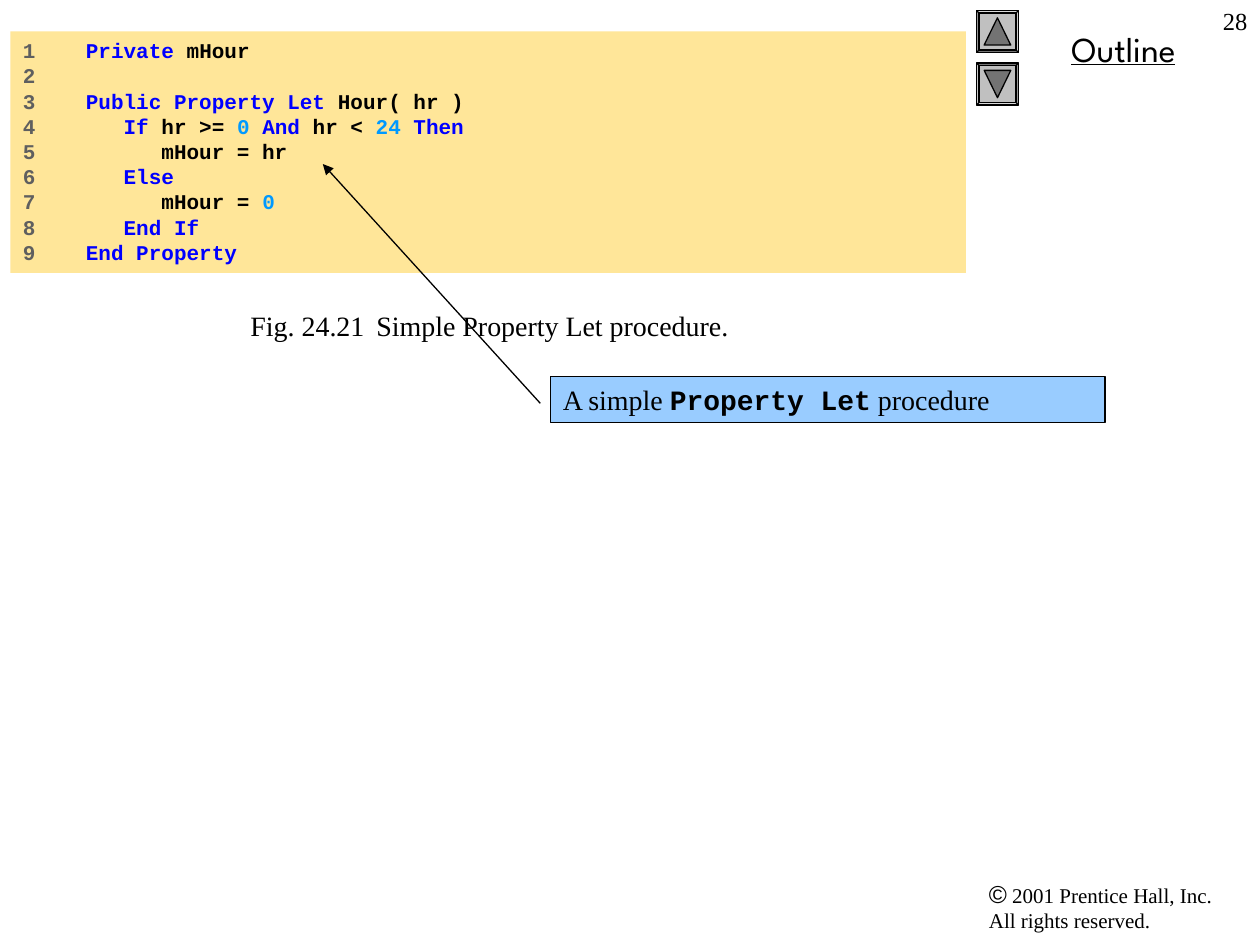
from dataclasses import dataclass

from lxml import etree
from pptx import Presentation
from pptx.dml.color import RGBColor
from pptx.enum import shapes, text
from pptx.oxml.ns import qn
from pptx.util import Pt

COLORS = {
    "black": "000000",
    "number": "5F5F5F",
    "keyword": "0000FF",
    "literal": "0099FF",
    "code_fill": "FFE699",
    "callout": "99CCFF",
    "button": "C0C0C0",
    "arrow": "737373",
}
SERIF, MONO = "Times New Roman", "Courier New"


@dataclass
class Box:
    left: float
    top: float
    width: float
    height: float

    def lengths(self):
        return Pt(self.left), Pt(self.top), Pt(self.width), Pt(self.height)


@dataclass
class Run:
    text: str
    font: str = SERIF
    size: float = 16
    color: str = "black"
    bold: bool = False
    underline: bool = False


@dataclass
class NavButton:
    top: float
    bevel_turn: int
    arrow_turn: int


NAV_BUTTONS = [NavButton(6, 90, 0), NavButton(36, 270, 180)]

CODE = [
    [("keyword", "Private"), ("black", " mHour")],
    [],
    [("keyword", "Public Property Let"), ("black", " Hour( hr )")],
    [("keyword", "   If"), ("black", " hr >= "), ("literal", "0 "), ("keyword", "And"),
     ("black", " hr < "), ("literal", "24 "), ("keyword", "Then")],
    [("black", "      mHour = hr")],
    [("keyword", "   Else")],
    [("black", "      mHour = "), ("literal", "0")],
    [("keyword", "   End If")],
    [("keyword", "End Property")],
]


def rgb(name: str) -> RGBColor:
    return RGBColor.from_string(COLORS[name])


def add_runs(p, runs: list[Run]) -> None:
    for run in runs:
        r = p.add_run()
        r.text = run.text
        r.font.name, r.font.size = run.font, Pt(run.size)
        r.font.bold, r.font.underline = run.bold, run.underline
        r.font.color.rgb = rgb(run.color)


def prepare_frame(sp, align=text.PP_ALIGN.LEFT, wrap: bool = True):
    """Set insets, anchor and alignment; return the first paragraph."""
    tf = sp.text_frame
    tf.auto_size = text.MSO_AUTO_SIZE.NONE
    tf.word_wrap = wrap
    tf.vertical_anchor = text.MSO_ANCHOR.TOP
    tf.margin_left = tf.margin_right = Pt(7.2)
    tf.margin_top = tf.margin_bottom = Pt(3.6)
    p = tf.paragraphs[0]
    p.alignment = align
    return p


def add_text(slide, box: Box, runs: list[Run], align=text.PP_ALIGN.LEFT, wrap: bool = True):
    p = prepare_frame(slide.shapes.add_textbox(*box.lengths()), align, wrap)
    add_runs(p, runs)
    return p


def add_filled(slide, kind, box: Box, fill: str, outlined: bool = True):
    sp = slide.shapes.add_shape(kind, *box.lengths())
    sp.shadow.inherit = False
    sp.fill.solid()
    sp.fill.fore_color.rgb = rgb(fill)
    if outlined:
        sp.line.color.rgb = rgb("black")
        sp.line.width = Pt(0.75)
    else:
        sp.line.fill.background()
    return sp


def add_title(slide) -> None:
    title = slide.shapes.title
    title.left, title.top, title.width, title.height = Box(564, 12, 156, 32).lengths()
    p = prepare_frame(title, text.PP_ALIGN.CENTER)
    add_runs(p, [Run("Outline", "League Spartan", 20, underline=True)])


def add_nav_button(slide, button: NavButton) -> None:
    kinds = shapes.MSO_SHAPE
    sp = add_filled(slide, kinds.BEVEL, Box(558, button.top, 24, 24), "button")
    sp.adjustments[0] = 0.06
    sp.rotation = button.bevel_turn
    arrow = add_filled(slide, kinds.ISOSCELES_TRIANGLE,
                       Box(562.4, button.top + 4.2, 15.2, 15.6), "arrow")
    arrow.rotation = button.arrow_turn


def add_code(slide) -> None:
    sp = add_filled(slide, shapes.MSO_SHAPE.RECTANGLE, Box(6, 18, 546, 138),
                    "code_fill", outlined=False)
    p = prepare_frame(sp)
    for number, tokens in enumerate(CODE, 1):
        if number > 1:
            p = sp.text_frame.add_paragraph()
            p.alignment = text.PP_ALIGN.LEFT
        p.line_spacing = Pt(14.4)
        label = f"{number}    " if tokens else str(number)
        add_runs(p, [Run(words, MONO, 12, color, bold=True)
                     for color, words in [("number", label), *tokens]])


def add_callout(slide) -> None:
    sp = add_filled(slide, shapes.MSO_SHAPE.RECTANGLE, Box(314.5, 215, 317, 26.5), "callout")
    add_runs(prepare_frame(sp), [Run("A simple "), Run("Property Let", MONO, bold=True),
                                 Run(" procedure")])
    line = slide.shapes.add_connector(shapes.MSO_CONNECTOR.STRAIGHT,
                                      Pt(308.75), Pt(230.5), Pt(184.5), Pt(93.75))
    line.line.color.rgb = rgb("black")
    line.line.width = Pt(0.75)
    etree.SubElement(line.line._get_or_add_ln(), qn("a:tailEnd"), type="triangle")
    etree.SubElement(line._element.spPr, qn("a:effectLst"))


def main() -> None:
    prs = Presentation()
    prs.slide_width, prs.slide_height = Pt(720), Pt(540)
    slide = prs.slides.add_slide(prs.slide_layouts[5])

    add_title(slide)
    p = add_text(slide, Box(558, 498.5, 156, 39),
                 [Run("©", "Arial", 14), Run(" 2001 Prentice Hall, Inc.", size=12)])
    p.add_line_break()
    add_runs(p, [Run("All rights reserved.", size=12)])
    for button in NAV_BUTTONS:
        add_nav_button(slide, button)
    add_code(slide)
    add_text(slide, Box(136, 173, 287, 26.5),
             [Run("Fig. 24.21\tSimple Property Let procedure.")], wrap=False)
    add_callout(slide)
    add_text(slide, Box(684, 0, 36, 36), [Run("28", size=14)], text.PP_ALIGN.RIGHT)

    prs.save("out.pptx")


if __name__ == "__main__":
    main()
